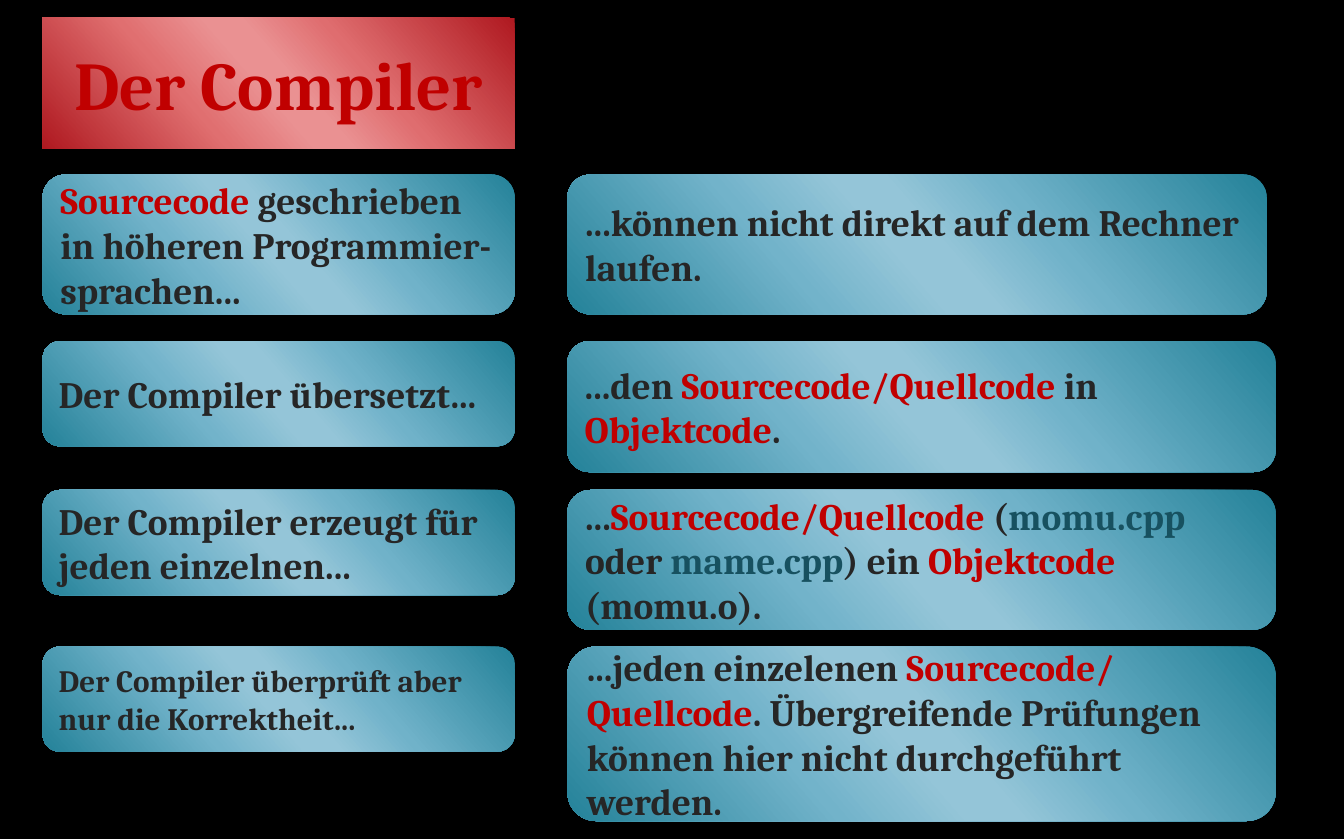
"""Build the slide "Der Compiler" with its statement boxes in two columns."""
from dataclasses import dataclass

import pptx
import pptx.dml.color
import pptx.enum.shapes
import pptx.enum.text
import pptx.oxml
import pptx.oxml.ns
import pptx.util
from lxml import etree

Inches = pptx.util.Inches
qn = pptx.oxml.ns.qn


@dataclass(frozen=True)
class Theme:
    font: str = "Cambria"
    background: str = "000000"
    text: str = "262626"
    key: str = "C00000"
    file: str = "175160"
    title_size: int = 44
    body_size: int = 24
    small_size: int = 20
    red: tuple = ("AF1920", "DF6D6F", "EA9192", "EA9192", "E06F70", "AF1920")
    teal: tuple = ("248299", "70B2C9", "94C5D8", "94C5D8", "72B3CA", "248299")
    stops: tuple = (0, 33, 47, 53, 68, 100)
    angle: int = 139


THEME = Theme()
LEFT_X, LEFT_W, RIGHT_X, RIGHT_W = 0.38, 4.22, 5.07, 6.33


@dataclass(frozen=True)
class Run:
    text: str
    color: str = THEME.text


@dataclass(frozen=True)
class Box:
    paragraphs: list[list[Run]]
    height: float
    width: float
    size: int = THEME.body_size


@dataclass(frozen=True)
class Row:
    top: float
    left: Box
    right: Box


def key(text: str) -> Run:
    return Run(text, THEME.key)


def source_file(text: str) -> Run:
    return Run(text, THEME.file)


ROWS = [
    Row(1.56,
        Box([[key("Sourcecode"),
              Run(" geschrieben in höheren Programmier-sprachen...")]], 1.25, LEFT_W),
        Box([[Run("...können nicht direkt auf dem Rechner laufen.")]], 1.25, 6.25)),
    Row(3.05,
        Box([[Run("Der Compiler übersetzt...")]], 0.94, LEFT_W),
        Box([[Run("...den "), key("Sourcecode/Quellcode"), Run(" in "),
              key("Objektcode"), Run(".")]], 1.17, RIGHT_W)),
    Row(4.38,
        Box([[Run("Der Compiler erzeugt für jeden einzelnen...")]], 0.94, LEFT_W),
        Box([[Run("..."), key("Sourcecode/Quellcode"), Run(" ("),
              source_file("momu.cpp"), Run(" oder "), source_file("mame.cpp"),
              Run(") ein "), key("Objektcode "), Run("(momu.o).")]], 1.25, RIGHT_W)),
    Row(5.78,
        Box([[Run("Der Compiler überprüft aber nur die Korrektheit...")]],
            0.94, LEFT_W, THEME.small_size),
        Box([[Run("...jeden einzelenen "), key("Sourcecode/")],
             [key("Quellcode"),
              Run(". Übergreifende Prüfungen können hier nicht durchgeführt werden.")]],
            1.56, RIGHT_W)),
]


def add_text(p, text: str, *, size: int, color: str, bold: bool = True) -> None:
    r = p.add_run()
    r.text = text
    r.font.name = THEME.font
    r.font.size = pptx.util.Pt(size)
    r.font.bold = bold
    r.font.color.rgb = pptx.dml.color.RGBColor.from_string(color)


def style_box(sp, colors: tuple) -> None:
    sp.fill.gradient()
    sp.fill.gradient_angle = 360 - THEME.angle
    stops = sp._element.spPr.find(".//" + qn("a:gsLst"))
    for old in list(stops):
        stops.remove(old)
    for position, color in zip(THEME.stops, colors):
        stop = etree.SubElement(stops, qn("a:gs"), pos=str(position * 1000))
        etree.SubElement(stop, qn("a:srgbClr"), val=color)
    sp.line.fill.background()
    sp.shadow.inherit = False
    tf = sp.text_frame
    tf.word_wrap = True
    tf.auto_size = pptx.enum.text.MSO_AUTO_SIZE.NONE
    tf.vertical_anchor = pptx.enum.text.MSO_ANCHOR.MIDDLE


def add_title(s, text: str) -> None:
    sp = s.shapes.title
    sp.left, sp.top = Inches(LEFT_X), Inches(0.16)
    sp.width, sp.height = Inches(LEFT_W), Inches(1.17)
    geometry = pptx.oxml.parse_xml(
        '<a:prstGeom xmlns:a="http://schemas.openxmlformats.org/drawingml/2006/main"'
        ' prst="roundRect"><a:avLst/></a:prstGeom>')
    sp._element.spPr.insert(1, geometry)
    style_box(sp, THEME.red)
    p = sp.text_frame.paragraphs[0]
    p.alignment = pptx.enum.text.PP_ALIGN.CENTER
    add_text(p, text, size=THEME.title_size, color=THEME.key)


def add_box(s, box: Box, left: float, top: float) -> None:
    sp = s.shapes.add_shape(
        pptx.enum.shapes.MSO_SHAPE.ROUNDED_RECTANGLE,
        Inches(left), Inches(top), Inches(box.width), Inches(box.height))
    style_box(sp, THEME.teal)
    tf = sp.text_frame
    for i, runs in enumerate(box.paragraphs):
        p = tf.add_paragraph() if i else tf.paragraphs[0]
        p.alignment = pptx.enum.text.PP_ALIGN.LEFT
        for run in runs:
            add_text(p, run.text, size=box.size, color=run.color)


def main() -> None:
    prs = pptx.Presentation()
    prs.slide_width, prs.slide_height = Inches(12.01), Inches(7.5)
    s = prs.slides.add_slide(prs.slide_layouts.get_by_name("Title Only"))
    fill = s.background.fill
    fill.solid()
    fill.fore_color.rgb = pptx.dml.color.RGBColor.from_string(THEME.background)
    add_title(s, "Der Compiler")
    for row in ROWS:
        add_box(s, row.left, LEFT_X, row.top)
        add_box(s, row.right, RIGHT_X, row.top)
    prs.save("out.pptx")


if __name__ == "__main__":
    main()
